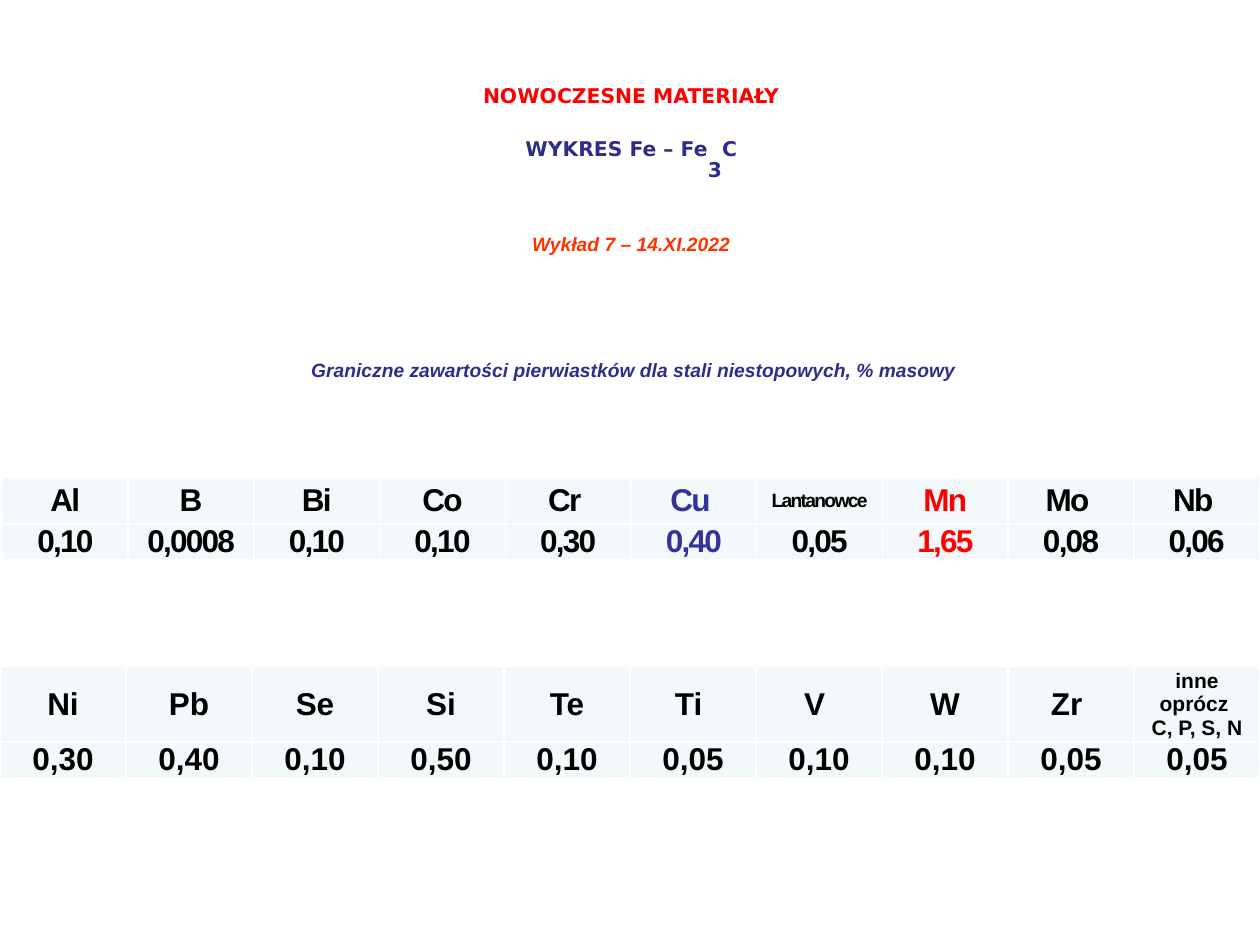
from dataclasses import dataclass, field

import pptx
import pptx.dml.color
import pptx.enum.text
import pptx.oxml
import pptx.oxml.ns
import pptx.util

RGB = pptx.dml.color.RGBColor
RED = RGB(0xFF, 0x00, 0x00)
ORANGE = RGB(0xFF, 0x33, 0x00)
NAVY = RGB(0x2D, 0x2D, 0x8A)
BLUE = RGB(0x33, 0x33, 0x99)
BLACK = RGB(0x00, 0x00, 0x00)
WHITE = RGB(0xFF, 0xFF, 0xFF)
PALE = RGB(0xF3, 0xF9, 0xFA)

WIDE, HIGH = 10, 7.5
RAISED, LOWERED = 36000, -25000
MIDDLE = pptx.enum.text.MSO_ANCHOR.MIDDLE
TOP = pptx.enum.text.MSO_ANCHOR.TOP
CENTER = pptx.enum.text.PP_ALIGN.CENTER
inch = pptx.util.Inches


@dataclass
class Style:
    size: float
    color: RGB
    font: str = "Arial"
    italic: bool = False


@dataclass
class Line:
    runs: list[tuple[str, int]]
    place: tuple[float, float, float, float]
    style: Style
    anchor: int = TOP


@dataclass
class Cell:
    name: str
    value: str
    color: RGB = BLACK
    size: int = 18


@dataclass
class Grid:
    place: tuple[float, float, float]
    rows: tuple[float, float]
    cells: list[Cell] = field(default_factory=list)
    gap: int = 0


def add_run(par, text: str, style: Style, **attrs: int) -> None:
    run = par.add_run()
    run.text = text
    font = run.font
    font.size = pptx.util.Pt(style.size)
    font.name = style.font
    font.bold = True
    font.italic = style.italic
    font.color.rgb = style.color
    for key, value in attrs.items():
        run._r.get_or_add_rPr().set(key, str(value))


def draw_line(shape, line: Line) -> None:
    shape.left, shape.top, shape.width, shape.height = map(inch, line.place)
    frame = shape.text_frame
    frame.word_wrap = True
    frame.auto_size = pptx.enum.text.MSO_AUTO_SIZE.NONE
    frame.vertical_anchor = line.anchor
    par = frame.paragraphs[0]
    par.alignment = CENTER
    for text, base in line.runs:
        add_run(par, text, line.style, baseline=base)


def set_edges(cell) -> None:
    props = cell._tc.get_or_add_tcPr()
    for side in "LRTB":
        props.append(pptx.oxml.parse_xml(
            f'<a:ln{side} {pptx.oxml.ns.nsdecls("a")} w="12700">'
            f'<a:solidFill><a:srgbClr val="{WHITE}"/></a:solidFill></a:ln{side}>'))


def draw_cell(cell, text: str, style: Style, gap: int) -> None:
    set_edges(cell)
    cell.fill.solid()
    cell.fill.fore_color.rgb = PALE
    cell.vertical_anchor = MIDDLE
    cell.margin_left = cell.margin_right = inch(0.05)
    cell.margin_top = cell.margin_bottom = 0
    frame = cell.text_frame
    for i, part in enumerate(text.split("\n")):
        par = frame.add_paragraph() if i else frame.paragraphs[0]
        par.alignment = CENTER
        add_run(par, part, style, spc=gap)


def draw_grid(slide, grid: Grid) -> None:
    left, top, width = grid.place
    count = len(grid.cells)
    table = slide.shapes.add_table(2, count, inch(left), inch(top),
                                   inch(width), inch(sum(grid.rows))).table
    for row, tall in zip(table.rows, grid.rows):
        row.height = inch(tall)
    for i, item in enumerate(grid.cells):
        table.columns[i].width = inch(width / count)
        draw_cell(table.cell(0, i), item.name, Style(item.size, item.color), grid.gap)
        draw_cell(table.cell(1, i), item.value, Style(18, item.color), grid.gap)


# Headings and captions
HEAD = Line([("NOWOCZESNE MATERIAŁY", RAISED)], (0.76, 0.52, 8.5, 0.58),
            Style(20, RED, "DejaVu Sans"), MIDDLE)
LINES = [
    Line([("Graniczne zawartości pierwiastków dla stali niestopowych, % masowy", RAISED)],
         (0, 2.78, 10.06, 0.42), Style(19, NAVY, italic=True)),
    Line([("WYKRES Fe – Fe", RAISED), ("3", LOWERED), ("C", RAISED)],
         (0.76, 0.96, 8.5, 0.58), Style(20, NAVY, "DejaVu Sans"), MIDDLE),
    Line([("Wykład 7 – 14.XI.2022", RAISED)],
         (-0.02, 1.78, 10.06, 0.42), Style(19, ORANGE, italic=True)),
]

# Limits for each element
GRIDS = [
    Grid((0.02, 3.79, 9.98), (0.37, 0.18), [
        Cell("Al", "0,10"), Cell("B", "0,0008"), Cell("Bi", "0,10"),
        Cell("Co", "0,10"), Cell("Cr ", "0,30"), Cell("Cu ", "0,40", BLUE),
        Cell("Lantanowce", "0,05", size=11), Cell("Mn", "1,65", RED),
        Cell("Mo ", "0,08"), Cell("Nb ", "0,06")], gap=-100),
    Grid((0, 5.29, WIDE), (0.6, 0.2), [
        Cell("Ni", "0,30"), Cell("Pb", "0,40"), Cell("Se", "0,10"),
        Cell("Si", "0,50"), Cell("Te", "0,10"), Cell("Ti ", "0,05"),
        Cell("V ", "0,10"), Cell("W", "0,10"), Cell("Zr ", "0,05"),
        Cell("inne oprócz \nC, P, S, N", "0,05", size=12)]),
]


def main() -> None:
    deck = pptx.Presentation()
    deck.slide_width, deck.slide_height = inch(WIDE), inch(HIGH)
    slide = deck.slides.add_slide(deck.slide_layouts[5])
    draw_line(slide.shapes.title, HEAD)
    for grid in GRIDS:
        draw_grid(slide, grid)
    for line in LINES:
        draw_line(slide.shapes.add_textbox(0, 0, 0, 0), line)
    deck.save("out.pptx")


if __name__ == "__main__":
    main()
